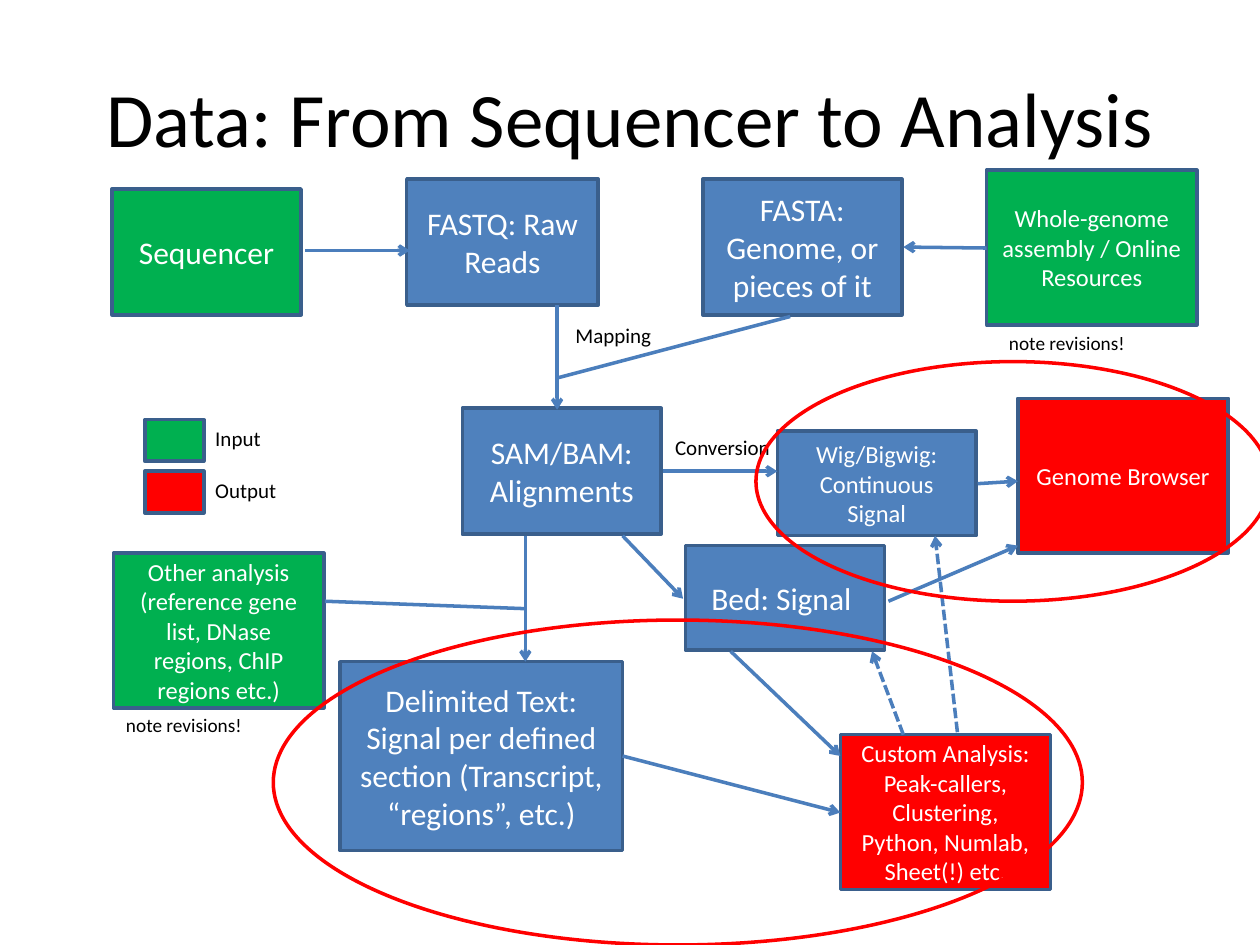
from lxml import etree
from pptx import Presentation
from pptx.dml.color import RGBColor
from pptx.enum.dml import MSO_LINE
from pptx.enum.shapes import MSO_CONNECTOR, MSO_SHAPE
from pptx.enum.text import MSO_ANCHOR, PP_ALIGN
from pptx.oxml.ns import qn
from pptx.util import Cm, Pt

RECT, OVAL = MSO_SHAPE.RECTANGLE, MSO_SHAPE.OVAL
STRAIGHT, DASH = MSO_CONNECTOR.STRAIGHT, MSO_LINE.SQUARE_DOT
LEFT, CENTER = PP_ALIGN.LEFT, PP_ALIGN.CENTER
TOP, MIDDLE = MSO_ANCHOR.TOP, MSO_ANCHOR.MIDDLE
FONT = "Calibri"
BLUE, GREEN, RED = "4F81BD", "00B050", "FF0000"
BORDER, ARROW, BLACK, WHITE = "3A5F8C", "4B7EBC", "000000", "FFFFFF"

BOXES = [
    ("Sequencer", 2.26, 3.81, 3.81, 2.54, GREEN, 18),
    ("FASTQ: Raw Reads", 8.2, 3.61, 3.86, 2.54, BLUE, 18),
    ("FASTA: Genome, or pieces of it", 14.17, 3.61, 4.01, 2.74, BLUE, 18),
    ("Whole-genome assembly / Online Resources", 19.89, 3.43, 4.24, 3.12, GREEN, 14),
    ("SAM/BAM: Alignments", 9.32, 8.23, 4.01, 2.54, BLUE, 18),
    ("Wig/Bigwig: Continuous Signal", 15.67, 8.69, 4.01, 2.11, BLUE, 14),
    ("Genome Browser", 20.52, 8.03, 4.24, 3.12, RED, 14),
    ("Bed: Signal ", 13.82, 11, 4.01, 2.11, BLUE, 18),
    ("Delimited Text: Signal per defined section (Transcript, “regions”, etc.)",
     6.86, 13.34, 5.69, 3.81, BLUE, 18),
    ("Other analysis (reference gene list, DNase regions, ChIP regions etc.)",
     2.29, 11.15, 4.24, 3.12, GREEN, 14),
    ("Custom Analysis: Peak-callers, Clustering, Python, Numlab, Sheet(!) etc.",
     16.94, 14.81, 4.24, 3.12, RED, 14),
]
ARROWS = [
    (6.15, 5.05, 8.26, 5.05),
    (11.23, 6.15, 11.23, 8.26),
    (19.89, 5, 18.21, 4.98),
    (13.36, 9.5, 15.67, 9.5),
    (19.71, 9.75, 20.52, 9.7),
    (12.55, 10.8, 13.77, 12.07),
    (17.91, 12.12, 20.52, 11),
    (10.59, 10.8, 10.59, 13.34),
    (14.73, 13.13, 16.94, 15.24),
    (12.55, 15.24, 16.94, 16.38),
]
DASHED_ARROWS = [(18.21, 14.81, 17.58, 13.13), (19.3, 14.76, 18.85, 10.8)]
JOINS = [(15.93, 6.38, 11.23, 7.62), (10.59, 12.27, 6.55, 12.12)]
LABELS = [
    ("Mapping", 11.35, 6.38, 2.41, 12, True),
    ("Conversion", 13.36, 8.64, 2.44, 12, False),
    ("note revisions!", 20.09, 6.55, 2.87, 11, False),
    ("note revisions!", 2.29, 14.25, 2.87, 11, False),
]
LEGEND = [("Input", 8.46, GREEN), ("Output", 9.5, RED)]
HIGHLIGHTS = [(15.24, 7.29, 10.36, 4.83), (5.51, 12.5, 16.31, 6.55)]


def color(value):
    """Turn a hex string into a colour."""
    return RGBColor.from_string(value)


def write(shape, text, size=18, fill=WHITE, align=CENTER, anchor=MIDDLE, wrap=True):
    """Put formatted text into a shape."""
    tf = shape.text_frame
    tf.word_wrap = wrap
    tf.vertical_anchor = anchor
    p = tf.paragraphs[0]
    p.alignment = align
    r = p.add_run()
    r.text = text
    r.font.name = FONT
    r.font.size = Pt(size)
    r.font.color.rgb = color(fill)


def add_outline(s, kind, x, y, w, h, line, fill=None):
    """Add a preset shape with an outline and an optional fill."""
    sp = s.shapes.add_shape(kind, Cm(x), Cm(y), Cm(w), Cm(h))
    sp.shadow.inherit = False
    if fill:
        sp.fill.solid()
        sp.fill.fore_color.rgb = color(fill)
    else:
        sp.fill.background()
    sp.line.color.rgb = color(line)
    sp.line.width = Pt(2)
    return sp


def add_label(s, text, x, y, w, size=12, wrap=True):
    """Add a small black caption."""
    sp = s.shapes.add_textbox(Cm(x), Cm(y), Cm(w), Cm(0.76))
    write(sp, text, size=size, fill=BLACK, align=LEFT, anchor=TOP, wrap=wrap)


def add_line(s, x1, y1, x2, y2, head=True, dashed=False):
    """Add a flow line, with an open arrowhead at its end if wanted."""
    sp = s.shapes.add_connector(STRAIGHT, Cm(x1), Cm(y1), Cm(x2), Cm(y2))
    sp.line.color.rgb = color(ARROW)
    sp.line.width = Pt(2)
    if dashed:
        sp.line.dash_style = DASH
    props = sp._element.spPr
    if head:
        etree.SubElement(props.find(qn("a:ln")), qn("a:tailEnd"), type="arrow")
    etree.SubElement(props, qn("a:effectLst"))


def add_title(s, text):
    """Place and fill the title placeholder."""
    title = s.shapes.title
    title.left, title.top = Cm(1.27), Cm(0.76)
    title.width, title.height = Cm(22.86), Cm(3.18)
    write(title, text, size=44, fill=BLACK)


def main():
    """Build the data flow slide."""
    prs = Presentation()
    prs.slide_width, prs.slide_height = Cm(25.4), Cm(19.05)
    s = prs.slides.add_slide(prs.slide_layouts[5])
    add_title(s, "Data: From Sequencer to Analysis")
    for text, x, y, w, h, fill, size in BOXES:
        write(add_outline(s, RECT, x, y, w, h, BORDER, fill), text, size=size)
    for ends in ARROWS:
        add_line(s, *ends)
    for ends in DASHED_ARROWS:
        add_line(s, *ends, dashed=True)
    for ends in JOINS:
        add_line(s, *ends, head=False)
    for label in LABELS:
        add_label(s, *label)
    for text, y, fill in LEGEND:
        add_outline(s, RECT, 2.92, y, 1.19, 0.84, BORDER, fill)
        add_label(s, text, 4.09, y, 3.81)
    for area in HIGHLIGHTS:
        add_outline(s, OVAL, *area, RED)
    prs.save("out.pptx")


main()
